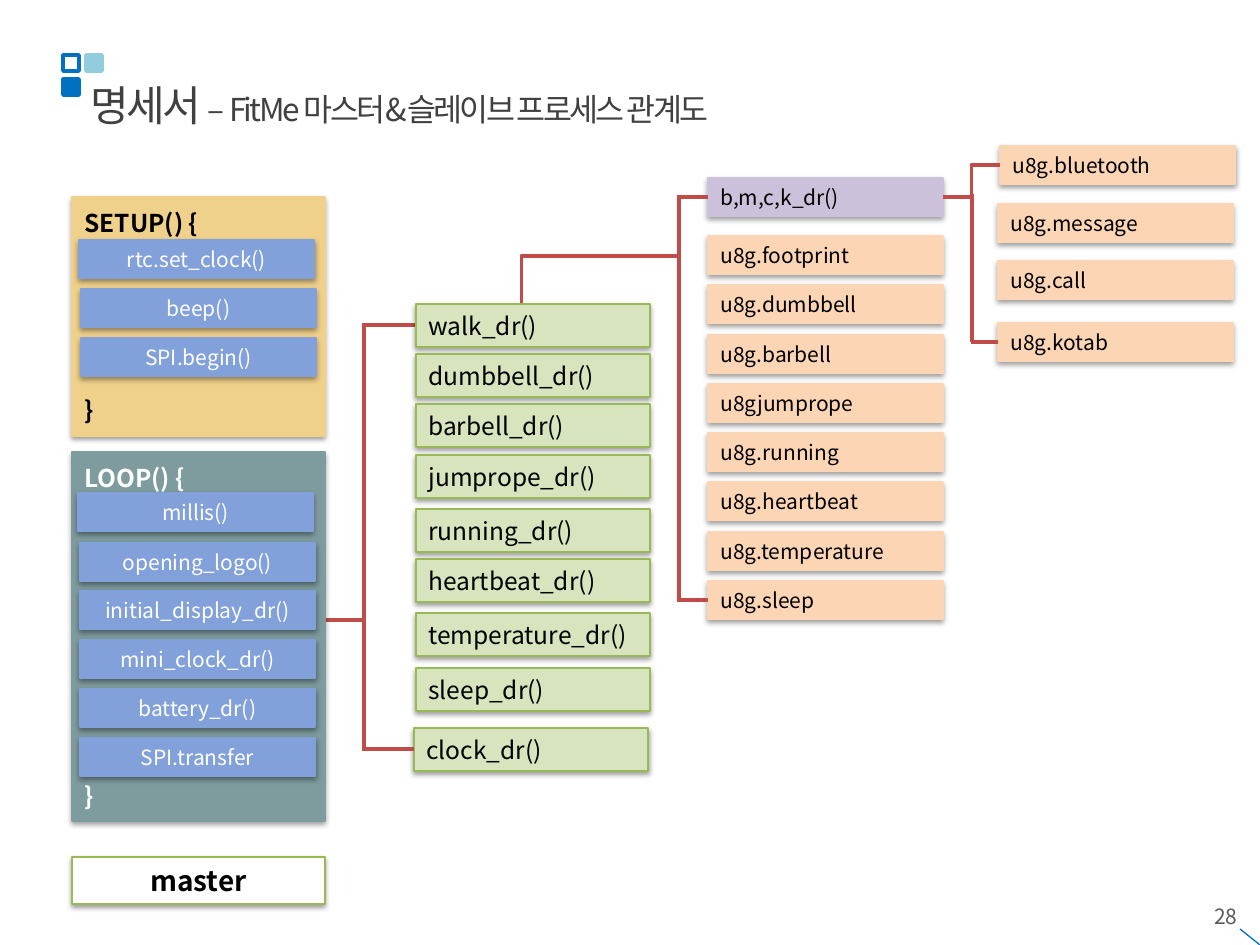
import dataclasses

import pptx
import pptx.dml.color
import pptx.enum.shapes
import pptx.enum.text
import pptx.oxml
import pptx.oxml.ns
import pptx.util
from lxml import etree

ALIGN = pptx.enum.text.PP_ALIGN
ANCHOR = pptx.enum.text.MSO_ANCHOR
CONNECTOR = pptx.enum.shapes.MSO_CONNECTOR
EMU_PER_PX = 914400 / 126
TOP, LEFT, BOTTOM, RIGHT = range(4)

SHADOW = (
    '<a:outerShdw xmlns:a="http://schemas.openxmlformats.org/drawingml/2006/main" '
    'blurRad="39370" dist="20320" dir="5400000" rotWithShape="0">'
    '<a:srgbClr val="000000"><a:alpha val="38000"/></a:srgbClr></a:outerShdw>'
)


@dataclasses.dataclass(frozen=True)
class Theme:
    font: str = "Noto Sans CJK KR"
    white: str = "FFFFFF"
    black: str = "000000"
    heading: str = "404040"
    muted: str = "595959"
    accent: str = "0070C0"
    accent_light: str = "93CDDD"
    setup: str = "F0D18C"
    loop: str = "7E9B9E"
    call: str = "82A1DA"
    handler: str = "D7E4BD"
    handler_edge: str = "98B955"
    group: str = "CCC1DA"
    drawing: str = "FCD5B5"
    link: str = "BF4C48"
    title_size: int = 24
    subtitle_size: int = 18
    master_size: int = 16
    large: int = 14
    small: int = 12


def px(length):
    return pptx.util.Emu(round(length * EMU_PER_PX))


def rgb(value):
    return pptx.dml.color.RGBColor.from_string(value)


class Diagram:
    def __init__(self, slide, theme):
        self.slide = slide
        self.theme = theme

    def style(self, paragraph, size, color, bold=False, align=ALIGN.LEFT):
        paragraph.alignment = align
        font = paragraph.font
        font.name = self.theme.font
        font.size = pptx.util.Pt(size)
        font.bold = bold
        font.color.rgb = rgb(color)

    def square(self, x, y, edge, fill=None):
        mark = self.slide.shapes.add_shape(
            pptx.enum.shapes.MSO_SHAPE.RECTANGLE, px(x), px(y), px(16), px(16))
        mark.shadow.inherit = False
        if fill:
            mark.fill.solid()
            mark.fill.fore_color.rgb = rgb(fill)
        else:
            mark.fill.background()
        mark.line.color.rgb = rgb(edge)
        mark.line.width = pptx.util.Pt(2)

    def box(self, lines, x, y, width, height, fill, size, color="000000",
            edge=None, bold=False, align=ALIGN.LEFT, gap=0):
        """Shadowed rectangle; gap is the space in points before each later line."""
        box = self.slide.shapes.add_shape(
            pptx.enum.shapes.MSO_SHAPE.RECTANGLE, px(x), px(y), px(width), px(height))
        box.shadow.inherit = False
        box.fill.solid()
        box.fill.fore_color.rgb = rgb(fill)
        box.line.color.rgb = rgb(edge or fill)
        box.line.width = pptx.util.Pt(0.75)
        effects = box._element.spPr.find(pptx.oxml.ns.qn("a:effectLst"))
        effects.append(pptx.oxml.parse_xml(SHADOW))
        frame = box.text_frame
        frame.word_wrap = True
        frame.vertical_anchor = ANCHOR.MIDDLE
        frame.text = lines
        for paragraph in frame.paragraphs:
            self.style(paragraph, size, color, bold, align)
        for paragraph in frame.paragraphs[1:]:
            paragraph.space_before = pptx.util.Pt(gap)
        return box

    def text(self, runs, x, y, width, height, color, align=ALIGN.LEFT,
             anchor=ANCHOR.TOP, tracking=0):
        """Runs are (wording, size) pairs; tracking is in hundredths of a point."""
        frame = self.slide.shapes.add_textbox(px(x), px(y), px(width), px(height)).text_frame
        frame.word_wrap = True
        frame.vertical_anchor = anchor
        paragraph = frame.paragraphs[0]
        self.style(paragraph, runs[0][1], color, align=align)
        for wording, size in runs:
            run = paragraph.add_run()
            run.text = wording
            run.font.size = pptx.util.Pt(size)
            properties = run._r.get_or_add_rPr()
            properties.set("spc", str(tracking))
            etree.SubElement(properties, pptx.oxml.ns.qn("a:ea"), typeface=self.theme.font)

    def link(self, start, end, kind=CONNECTOR.STRAIGHT, color=None, weight=2.25):
        """Each end is an (x, y) point or a (box, side) pair to join."""
        joins = [hasattr(place[0], "text_frame") for place in (start, end)]
        points = [(0, 0) if joined else place for joined, place in zip(joins, (start, end))]
        link = self.slide.shapes.add_connector(
            kind, *(px(value) for point in points for value in point))
        if joins[0]:
            link.begin_connect(*start)
        if joins[1]:
            link.end_connect(*end)
        link.line.color.rgb = rgb(color or self.theme.link)
        link.line.width = pptx.util.Pt(weight)
        etree.SubElement(link._element.spPr, pptx.oxml.ns.qn("a:effectLst"))


def main():
    deck = pptx.Presentation()
    deck.slide_width, deck.slide_height = px(1260), px(945)
    theme = Theme()
    diagram = Diagram(deck.slides.add_slide(deck.slide_layouts[6]), theme)

    diagram.text([("28", theme.small)], 956, 897, 294, 50, theme.muted, ALIGN.RIGHT)
    diagram.link((1260, 945), (1240, 929), color=theme.accent, weight=0.75)
    diagram.square(63, 79, theme.accent, theme.accent)
    diagram.square(63, 55, theme.accent)
    diagram.square(86, 55, theme.accent_light, theme.accent_light)
    diagram.text([("명세서 ", theme.title_size),
                  ("– FitMe 마스터&슬레이브 프로세스 관계도", theme.subtitle_size)],
                 78, 73, 1082, 63, theme.heading, anchor=ANCHOR.MIDDLE, tracking=-150)

    # These two run behind the boxes they leave
    diagram.link((307, 620), (364, 620))
    diagram.link((364, 325), (679, 256), CONNECTOR.ELBOW)

    diagram.box("SETUP() {\n}", 72, 197, 253, 239, theme.setup, theme.large,
                bold=True, gap=90)
    diagram.box("LOOP() {\n}", 72, 452, 253, 369, theme.loop, theme.large,
                theme.white, bold=True, gap=165)
    calls = [
        ("rtc.set_clock()", 79, 240), ("beep()", 81, 289), ("SPI.begin()", 81, 338),
        ("millis()", 78, 493), ("opening_logo()", 80, 543),
        ("initial_display_dr()", 80, 591), ("mini_clock_dr()", 80, 640),
        ("battery_dr()", 80, 689), ("SPI.transfer", 80, 738),
    ]
    for name, x, y in calls:
        diagram.box(name, x, y, 235, 38, theme.call, theme.small, theme.white,
                    align=ALIGN.CENTER)

    handlers = [
        ("walk", 416, 304), ("dumbbell", 416, 354), ("barbell", 416, 404),
        ("jumprope", 416, 455), ("running", 416, 509), ("heartbeat", 416, 559),
        ("temperature", 416, 613), ("sleep", 416, 668), ("clock", 414, 728),
    ]
    for name, x, y in handlers:
        clock = diagram.box(f"{name}_dr()", x, y, 234, 43, theme.handler, theme.large,
                            edge=theme.handler_edge)

    group = diagram.box("b,m,c,k_dr()", 708, 178, 235, 38, theme.group, theme.small)
    drawings = ["u8g.footprint", "u8g.dumbbell", "u8g.barbell", "u8gjumprope",
                "u8g.running", "u8g.heartbeat", "u8g.temperature", "u8g.sleep"]
    first, last = 236, 581
    for row, name in enumerate(drawings):
        y = first + round(row * (last - first) / (len(drawings) - 1))
        sleep = diagram.box(name, 708, y, 235, 38, theme.drawing, theme.small)

    alerts = [("bluetooth", 1000, 146), ("message", 998, 204),
              ("call", 998, 261), ("kotab", 998, 323)]
    bluetooth, _, _, kotab = [
        diagram.box(f"u8g.{name}", x, y, 235, 38, theme.drawing, theme.small)
        for name, x, y in alerts]

    diagram.box("master", 72, 857, 253, 47, theme.white, theme.master_size,
                edge=theme.handler_edge, bold=True, align=ALIGN.CENTER)

    # Vertical trunks, then the branches that leave them
    for x, top, bottom in [(364, 323, 749), (679, 197, 600), (972, 194, 342)]:
        diagram.link((x, top), (x, bottom))
    for x, y, target in [(362, 749.5, clock), (677, 197, group),
                         (677, 600, sleep), (971, 342, kotab)]:
        diagram.link((x, y), (target, LEFT))
    diagram.link((group, RIGHT), (bluetooth, LEFT), CONNECTOR.ELBOW)

    deck.save("out.pptx")


if __name__ == "__main__":
    main()
